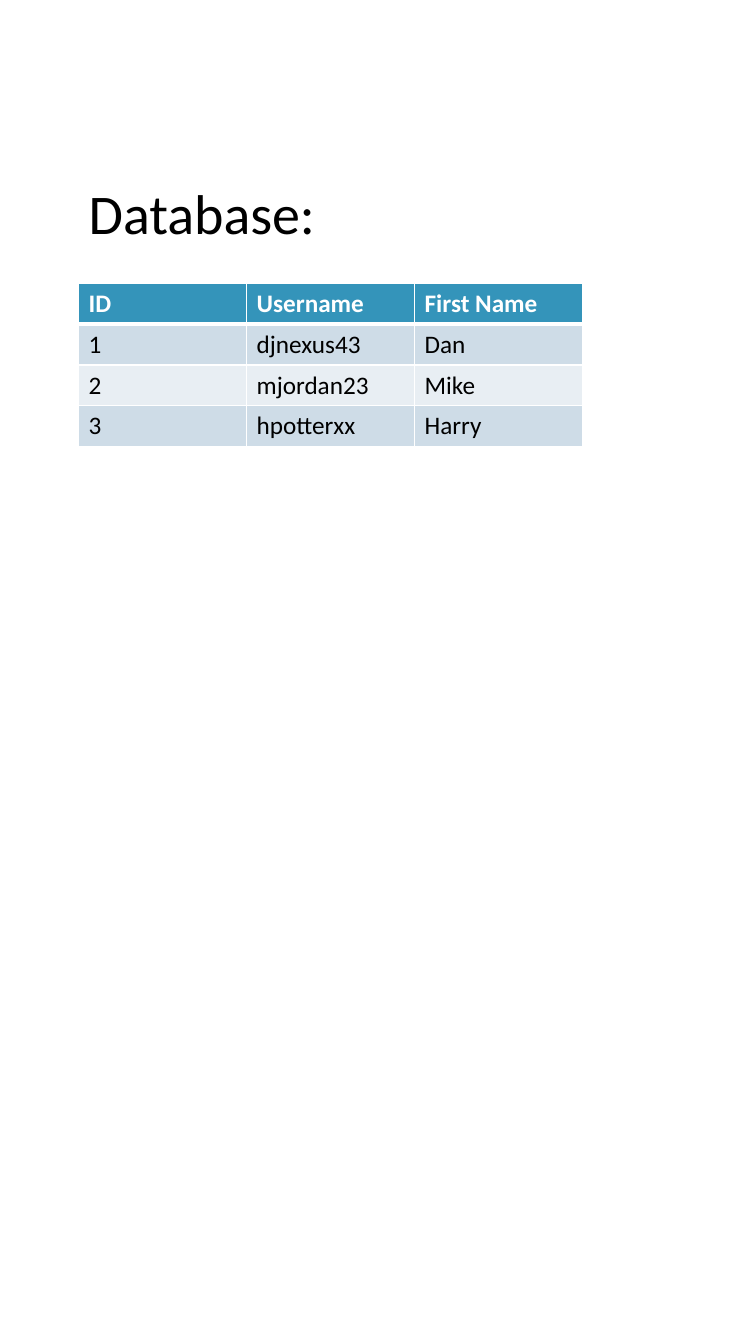
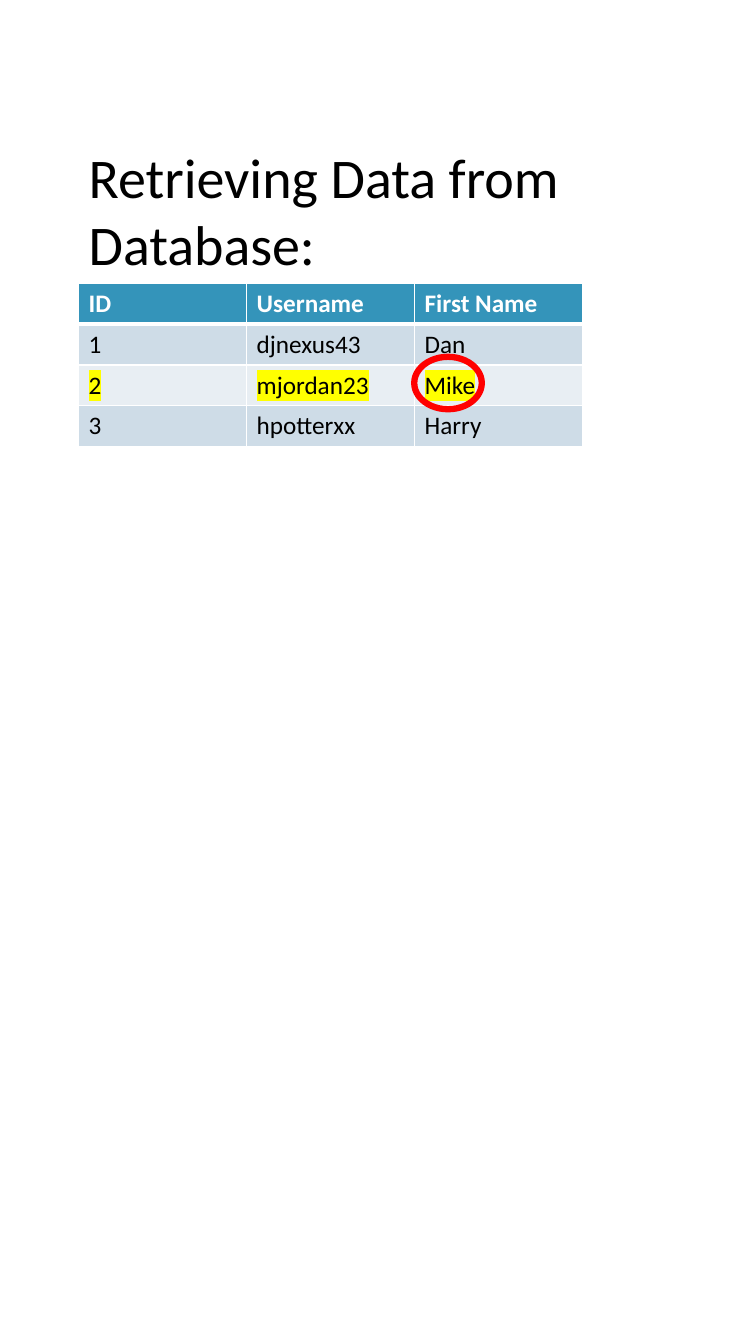
"""Build two portrait slides that show a user table and a lookup in it."""
from dataclasses import dataclass
from typing import Any, Optional

from lxml import etree
from pptx import Presentation
from pptx.dml.color import RGBColor
from pptx.enum import shapes, text
from pptx.oxml.ns import qn
from pptx.util import Pt

WHITE = RGBColor(0xFF, 0xFF, 0xFF)
BLACK = RGBColor(0x00, 0x00, 0x00)
HEADER = RGBColor(0x34, 0x94, 0xBA)
BAND_DARK = RGBColor(0xCE, 0xDC, 0xE7)
BAND_LIGHT = RGBColor(0xE8, 0xEE, 0xF3)
YELLOW = RGBColor(0xFF, 0xFF, 0x00)
RED = RGBColor(0xFF, 0x00, 0x00)

FONT = "Calibri"
LEFT, TABLE_TOP = 56.16, 202.32
COL_WIDTH, ROW_HEIGHT = 120, 29.2
THIN, THICK = 1, 3
USERS = (
    ("ID", "Username", "First Name"),
    ("1", "djnexus43", "Dan"),
    ("2", "mjordan23", "Mike"),
    ("3", "hpotterxx", "Harry"),
)


@dataclass(frozen=True)
class Box:
    left: float
    top: float
    width: float
    height: float

    def lengths(self) -> tuple[Pt, ...]:
        return tuple(Pt(v) for v in (self.left, self.top, self.width, self.height))


@dataclass(frozen=True)
class DatabaseSlide:
    title: str
    title_box: Box
    found_row: Optional[int] = None
    ring: Optional[Box] = None


SLIDES = (
    DatabaseSlide("Database:", Box(LEFT, 123.84, 303.84, 55.44)),
    DatabaseSlide("Retrieving Data from Database:", Box(LEFT, 97.92, 427.68, 104.4),
                  found_row=2, ring=Box(295.92, 254.88, 48.24, 37.44)),
)


def apply(target: Any, values: dict[str, Any]) -> None:
    for name, value in values.items():
        setattr(target, name, value)


def format_run(r: Any, size: float, color: RGBColor, bold: bool = False) -> None:
    apply(r.font, {"name": FONT, "size": Pt(size), "bold": bold})
    r.font.color.rgb = color


def add_color(parent: Any, color: RGBColor) -> None:
    etree.SubElement(parent, qn("a:srgbClr")).set("val", str(color))


def highlight(r: Any, color: RGBColor) -> None:
    mark = etree.Element(qn("a:highlight"))
    add_color(mark, color)
    r.font._element.find(qn("a:solidFill")).addnext(mark)


def set_borders(cell: Any, top: float, bottom: float) -> None:
    tc_pr = cell._tc.get_or_add_tcPr()
    for i, (side, width) in enumerate((("L", THIN), ("R", THIN), ("T", top), ("B", bottom))):
        ln = etree.Element(qn(f"a:ln{side}"), w=str(Pt(width)))
        add_color(etree.SubElement(ln, qn("a:solidFill")), WHITE)
        tc_pr.insert(i, ln)


def add_title(s: Any, title: str, box: Box) -> None:
    sp = s.shapes.title
    apply(sp, dict(zip(("left", "top", "width", "height"), box.lengths())))
    tf = sp.text_frame
    apply(tf, {"word_wrap": True, "auto_size": text.MSO_AUTO_SIZE.NONE,
               "vertical_anchor": text.MSO_ANCHOR.TOP})
    p = tf.paragraphs[0]
    p.alignment = text.PP_ALIGN.LEFT
    r = p.add_run()
    r.text = title
    format_run(r, 40, BLACK)


def add_user_table(s: Any, found_row: Optional[int]) -> None:
    rows, cols = len(USERS), len(USERS[0])
    box = Box(LEFT, TABLE_TOP, cols * COL_WIDTH, rows * ROW_HEIGHT)
    table = s.shapes.add_table(rows, cols, *box.lengths()).table
    for i, record in enumerate(USERS):
        is_header = i == 0
        fill = HEADER if is_header else BAND_DARK if i % 2 else BAND_LIGHT
        for j, value in enumerate(record):
            cell = table.cell(i, j)
            cell.fill.solid()
            cell.fill.fore_color.rgb = fill
            set_borders(cell, THICK if i == 1 else THIN, THICK if is_header else THIN)
            r = cell.text_frame.paragraphs[0].add_run()
            r.text = value
            format_run(r, 18, WHITE if is_header else BLACK, bold=is_header)
            if i == found_row:
                highlight(r, YELLOW)


def add_ring(s: Any, box: Box) -> None:
    sp = s.shapes.add_shape(shapes.MSO_SHAPE.OVAL, *box.lengths())
    sp.shadow.inherit = False
    sp.fill.background()
    sp.line.color.rgb = RED
    sp.line.width = Pt(4.5)


def build() -> None:
    prs = Presentation()
    apply(prs, {"slide_width": Pt(540), "slide_height": Pt(960)})
    title_only = prs.slide_layouts.get_by_name("Title Only")
    for item in SLIDES:
        s = prs.slides.add_slide(title_only)
        add_title(s, item.title, item.title_box)
        add_user_table(s, item.found_row)
        if item.ring:
            add_ring(s, item.ring)
    prs.save("out.pptx")


build()
